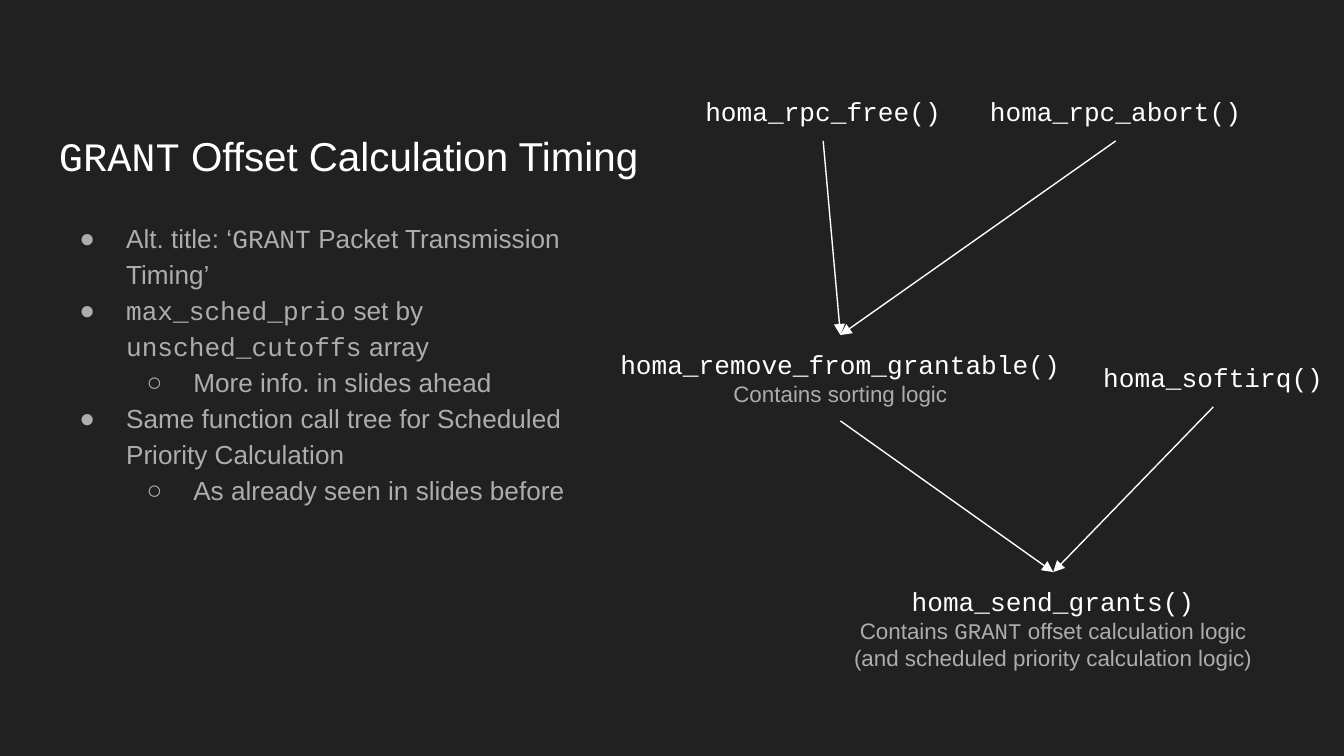
from dataclasses import dataclass

from lxml import etree
from pptx import Presentation
from pptx.dml.color import RGBColor
from pptx.enum.shapes import MSO_CONNECTOR
from pptx.enum.text import MSO_ANCHOR, PP_ALIGN
from pptx.oxml.ns import qn
from pptx.util import Pt

LEFT, CENTER = PP_ALIGN.LEFT, PP_ALIGN.CENTER
TOP, BOTTOM = MSO_ANCHOR.TOP, MSO_ANCHOR.BOTTOM
STRAIGHT = MSO_CONNECTOR.STRAIGHT


@dataclass(frozen=True)
class Theme:
    back: str = "212121"
    main: str = "FFFFFF"
    soft: str = "ADADAD"
    sans: str = "Arial"
    mono: str = "Courier New"
    title: float = 21.6
    text: float = 14
    note: float = 12
    line: float = 0.75
    inset: float = 7.2


THEME = Theme()
SANS, MONO = THEME.sans, THEME.mono

TITLE = [("GRANT", MONO), (" Offset Calculation Timing", SANS)]

POINTS = [
    (0, [("Alt. title: ‘", SANS), ("GRANT", MONO),
         (" Packet Transmission Timing’", SANS)]),
    (0, [("max_sched_prio", MONO), (" set by ", SANS),
         ("unsched_cutoffs", MONO), (" array", SANS)]),
    (1, [("More info. in slides ahead", SANS)]),
    (0, [("Same function call tree for Scheduled Priority Calculation", SANS)]),
    (1, [("As already seen in slides before", SANS)]),
]

NODES = {
    "homa_rpc_free()": ((368, 44, 146, 31.5), []),
    "homa_rpc_abort()": ((521.5, 44, 152.5, 31.5), []),
    "homa_remove_from_grantable()": (
        (324, 179.5, 252.5, 46),
        [[("Contains sorting logic", SANS)]]),
    "homa_softirq()": ((580, 186.5, 140, 31.5), []),
    "homa_send_grants()": (
        (438, 306.5, 252.5, 60.5),
        [[("Contains ", SANS), ("GRANT", MONO),
          (" offset calculation logic", SANS)],
         [("(and scheduled priority calculation logic)", SANS)]]),
}

CALLS = [
    ("homa_rpc_free()", "homa_remove_from_grantable()"),
    ("homa_rpc_abort()", "homa_remove_from_grantable()"),
    ("homa_remove_from_grantable()", "homa_send_grants()"),
    ("homa_softirq()", "homa_send_grants()"),
]


def add_box(slide, place, anchor=TOP):
    frame = slide.shapes.add_textbox(*map(Pt, place)).text_frame
    frame.word_wrap = True
    frame.vertical_anchor = anchor
    frame.margin_left = frame.margin_right = Pt(THEME.inset)
    frame.margin_top = frame.margin_bottom = Pt(THEME.inset)
    return frame


def next_para(frame, first):
    return frame.paragraphs[0] if first else frame.add_paragraph()


def add_runs(para, runs, size, color, align=LEFT):
    para.alignment = align
    for text, face in runs:
        run = para.add_run()
        run.text = text
        run.font.name = face
        run.font.size = Pt(size)
        run.font.color.rgb = RGBColor.from_string(color)


def add_bullet(para, level):
    para.level = level
    props = para._p.get_or_add_pPr()
    props.set("marL", str(Pt(36 * (level + 1))))
    props.set("indent", str(Pt(-25)))
    tint = etree.SubElement(props, qn("a:buClr"))
    etree.SubElement(tint, qn("a:srgbClr"), val=THEME.soft)
    etree.SubElement(props, qn("a:buFont"), typeface=SANS)
    etree.SubElement(props, qn("a:buChar"), char="●○"[level])
    para.line_spacing = 1.15


def add_list(slide, place, points):
    frame = add_box(slide, place)
    for index, (level, runs) in enumerate(points):
        para = next_para(frame, index == 0)
        add_bullet(para, level)
        add_runs(para, runs, THEME.text, THEME.soft)


def add_node(slide, name, place, notes):
    frame = add_box(slide, place)
    add_runs(next_para(frame, True), [(name, MONO)],
             THEME.text, THEME.main, CENTER)
    for runs in notes:
        add_runs(next_para(frame, False), runs,
                 THEME.note, THEME.soft, CENTER)


def add_arrow(slide, start, end):
    left, top, width, height = start
    goal, roof, span, _ = end
    ends = (left + width / 2, top + height, goal + span / 2, roof)
    arrow = slide.shapes.add_connector(STRAIGHT, *map(Pt, ends))
    arrow.line.color.rgb = RGBColor.from_string(THEME.main)
    arrow.line.width = Pt(THEME.line)
    etree.SubElement(arrow.line._get_or_add_ln(), qn("a:tailEnd"),
                     type="triangle")
    etree.SubElement(arrow._element.spPr, qn("a:effectLst"))


def main():
    deck = Presentation()
    deck.slide_width, deck.slide_height = Pt(720), Pt(405)
    slide = deck.slides.add_slide(deck.slide_layouts[6])
    fill = slide.background.fill
    fill.solid()
    fill.fore_color.rgb = RGBColor.from_string(THEME.back)

    title = add_box(slide, (24.5, 44, 335.5, 59.5), BOTTOM)
    add_runs(next_para(title, True), TITLE, THEME.title, THEME.main)
    add_list(slide, (24.5, 109.5, 299.5, 250.5), POINTS)

    for name, (place, notes) in NODES.items():
        add_node(slide, name, place, notes)
    for caller, callee in CALLS:
        add_arrow(slide, NODES[caller][0], NODES[callee][0])

    deck.save("out.pptx")


if __name__ == "__main__":
    main()
